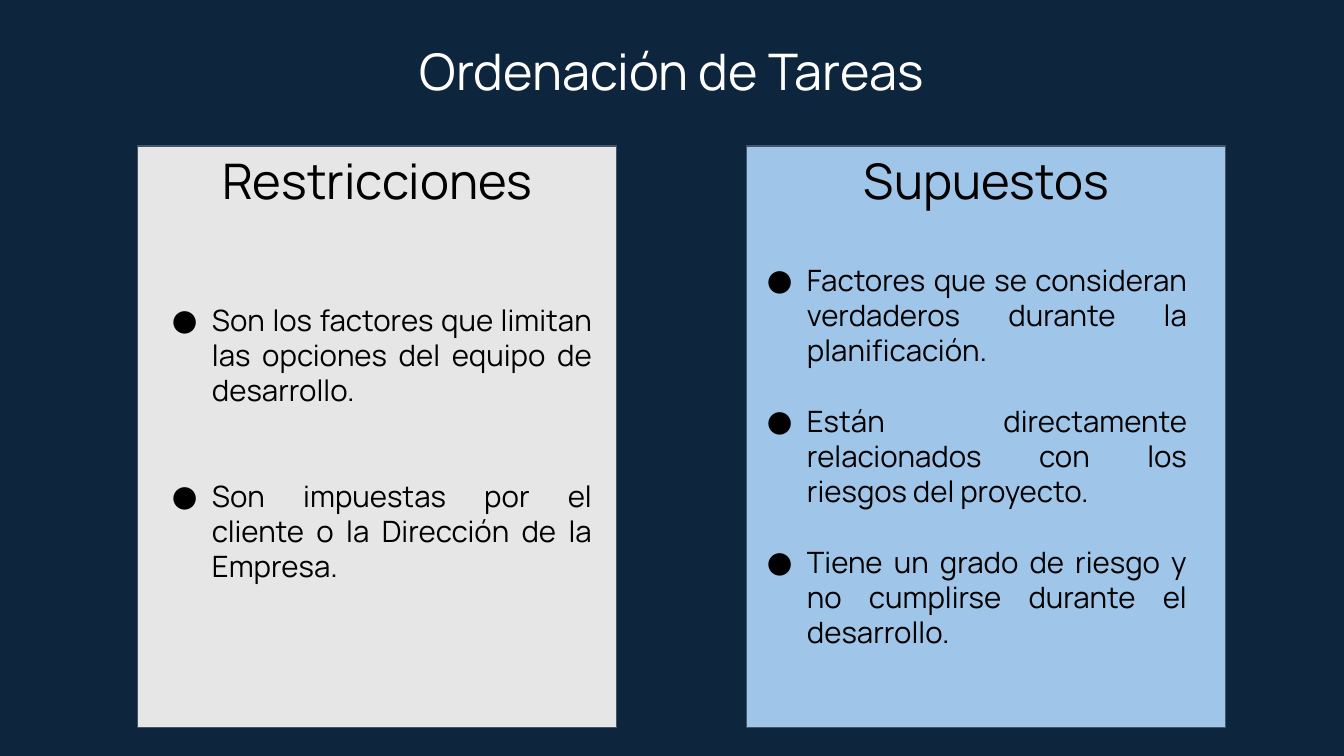
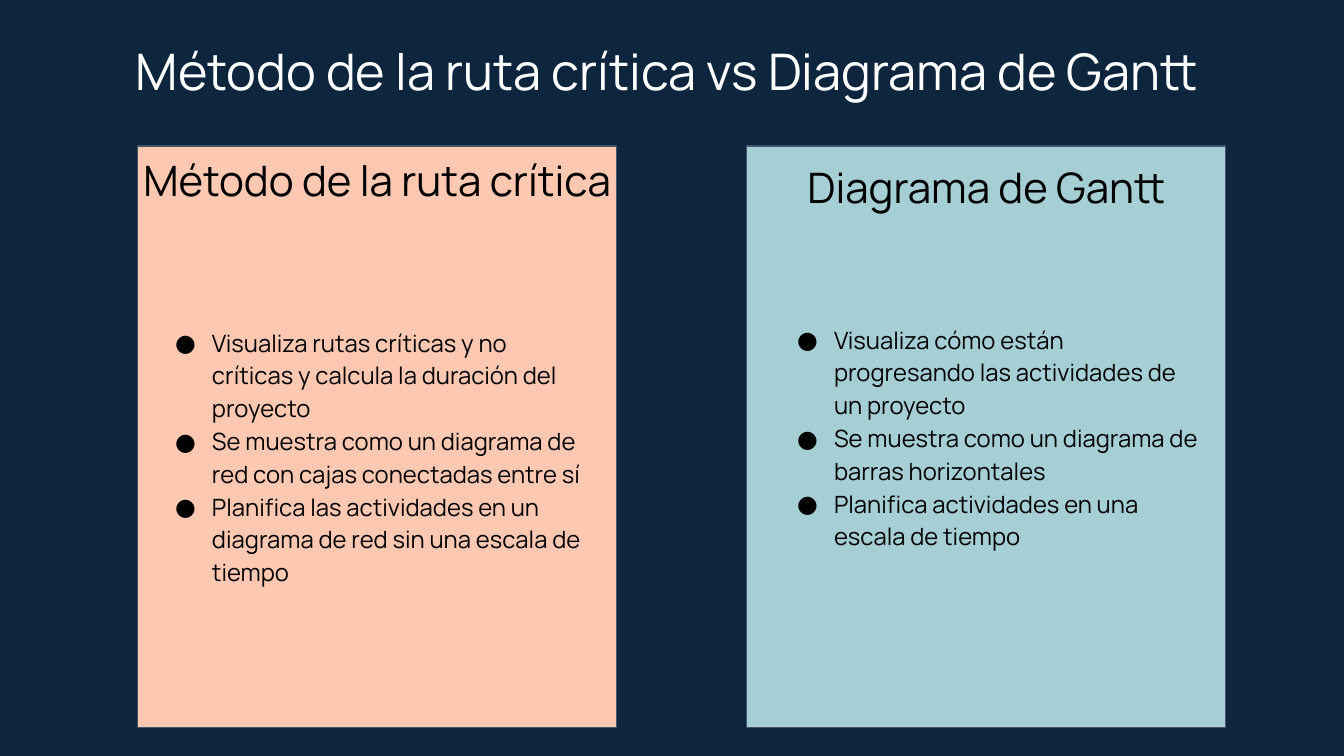
from dataclasses import dataclass

from lxml.etree import SubElement
from pptx import Presentation
from pptx.dml.color import RGBColor
from pptx.enum.shapes import MSO_SHAPE as Preset
from pptx.enum.text import MSO_ANCHOR as Anchor, MSO_AUTO_SIZE as AutoSize, PP_ALIGN as Align
from pptx.oxml.ns import qn
from pptx.util import Pt

PX = 914400 / 100.8


def px(length):
    return round(length * PX)


@dataclass(frozen=True)
class Theme:
    font: str = "Manrope"
    background: str = "0D253D"
    title: str = "FFFFFF"
    text: str = "000000"
    outline: str = "44546A"
    grey: str = "E7E6E6"
    blue: str = "9FC5E8"
    peach: str = "FCC8B2"
    teal: str = "A6CFD5"
    title_size: int = 36
    short_heading_size: int = 35
    long_heading_size: int = 30
    large_list_size: int = 21
    small_list_size: int = 17


THEME = Theme()


def fill_placeholder(holder, box, lines, size, color, align, inset=(0, 5), hanging=0, gap=0, spacing=1.0):
    """Place a placeholder and write one paragraph per line, bulleted when hanging is set."""
    holder.left, holder.top, holder.width, holder.height = map(px, box)
    frame = holder.text_frame
    frame.auto_size = AutoSize.NONE
    frame.word_wrap = True
    frame.vertical_anchor = Anchor.TOP
    frame.margin_left = frame.margin_right = px(inset[0])
    frame.margin_top = frame.margin_bottom = px(inset[1])
    for index, line in enumerate(lines):
        paragraph = frame.add_paragraph() if index else frame.paragraphs[0]
        if hanging:
            properties = paragraph._p.get_or_add_pPr()
            properties.set("marL", str(px(50)))
            properties.set("indent", str(-px(hanging)))
            bullet_color = SubElement(properties, qn("a:buClr"))
            SubElement(bullet_color, qn("a:srgbClr"), val=color)
            SubElement(properties, qn("a:buFont"), typeface=THEME.font)
            SubElement(properties, qn("a:buChar"), char="●")
        paragraph.alignment = align
        paragraph.line_spacing = spacing
        paragraph.space_before = Pt(gap if index else 0)
        paragraph.space_after = Pt(0)
        run = paragraph.add_run()
        run.text = line
        run.font.name = THEME.font
        run.font.size = Pt(size)
        run.font.bold = False
        run.font.color.rgb = RGBColor.from_string(color)


SLIDE_WIDTH, SLIDE_HEIGHT = 1344, 756
PANEL_TOP, PANEL_WIDTH, PANEL_HEIGHT = 146, 479, 582
PANEL_LEFTS = (138, 747)
HEADING_HEIGHT = 102

justified = dict(size=THEME.large_list_size, align=Align.JUSTIFY, hanging=40)
compact = dict(size=THEME.small_list_size, align=Align.LEFT, hanging=37, spacing=1.15)

comparisons = [
    dict(
        title="Ordenación de Tareas",
        heading_size=THEME.short_heading_size,
        list_style=justified,
        columns=[
            dict(
                heading="Restricciones", heading_top=145, fill=THEME.grey,
                list_box=(152, 292, 450, 305), gap=50,
                points=[
                    "Son los factores que limitan las opciones del equipo de desarrollo.",
                    "Son impuestas por el cliente o la Dirección de la Empresa.",
                ],
            ),
            dict(
                heading="Supuestos", heading_top=145, fill=THEME.blue,
                list_box=(747, 252, 450, 470), gap=25,
                points=[
                    "Factores que se consideran verdaderos durante la planificación.",
                    "Están directamente relacionados con los riesgos del proyecto.",
                    "Tiene un grado de riesgo y no cumplirse durante el desarrollo.",
                ],
            ),
        ],
    ),
    dict(
        title="Método de la ruta crítica vs Diagrama de Gantt ",
        heading_size=THEME.long_heading_size,
        list_style=compact,
        columns=[
            dict(
                heading="Método de la ruta crítica", heading_top=150, fill=THEME.peach,
                list_box=(152, 314, 450, 343), gap=0,
                points=[
                    "Visualiza rutas críticas y no críticas y calcula la duración del proyecto",
                    "Se muestra como un diagrama de red con cajas conectadas entre sí",
                    "Planifica las actividades en un diagrama de red sin una escala de tiempo",
                ],
            ),
            dict(
                heading="Diagrama de Gantt", heading_top=157, fill=THEME.teal,
                list_box=(774, 311, 434, 410), gap=0,
                points=[
                    "Visualiza cómo están progresando las actividades de un proyecto",
                    "Se muestra como un diagrama de barras horizontales",
                    "Planifica actividades en una escala de tiempo",
                ],
            ),
        ],
    ),
]

deck = Presentation()
deck.slide_width, deck.slide_height = px(SLIDE_WIDTH), px(SLIDE_HEIGHT)
backdrop = deck.slide_master.background.fill
backdrop.solid()
backdrop.fore_color.rgb = RGBColor.from_string(THEME.background)
comparison_layout = deck.slide_layouts.get_by_name("Comparison")

for comparison in comparisons:
    slide = deck.slides.add_slide(comparison_layout)
    title, left_heading, left_list, right_heading, right_list = slide.placeholders
    fill_placeholder(title, (0, 35, SLIDE_WIDTH, 102), [comparison["title"]],
                     THEME.title_size, THEME.title, Align.CENTER)

    column_holders = [(left_heading, left_list), (right_heading, right_list)]
    for left, column, (heading, points) in zip(PANEL_LEFTS, comparison["columns"], column_holders):
        panel = slide.shapes.add_shape(Preset.RECTANGLE, px(left), px(PANEL_TOP),
                                       px(PANEL_WIDTH), px(PANEL_HEIGHT))
        panel.shadow.inherit = False
        panel.fill.solid()
        panel.fill.fore_color.rgb = RGBColor.from_string(column["fill"])
        panel.line.color.rgb = RGBColor.from_string(THEME.outline)
        panel.line.width = Pt(0.75)
        heading._element.addprevious(panel._element)  # panel goes behind its text

        fill_placeholder(heading, (left, column["heading_top"], PANEL_WIDTH, HEADING_HEIGHT),
                         [column["heading"]], comparison["heading_size"], THEME.text, Align.CENTER)
        fill_placeholder(points, column["list_box"], column["points"], color=THEME.text,
                         inset=(10, 10), gap=column["gap"], **comparison["list_style"])

deck.save("out.pptx")
